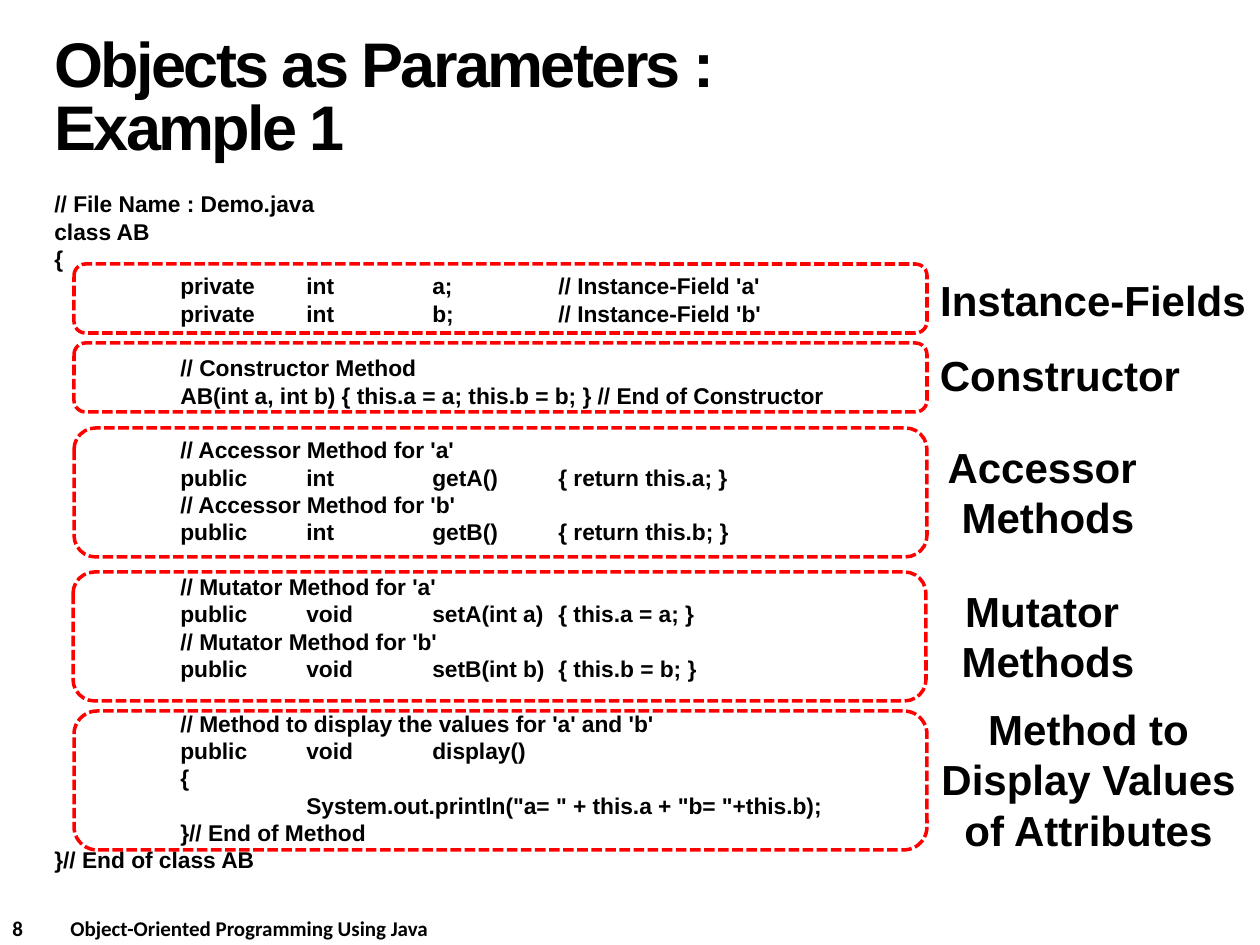
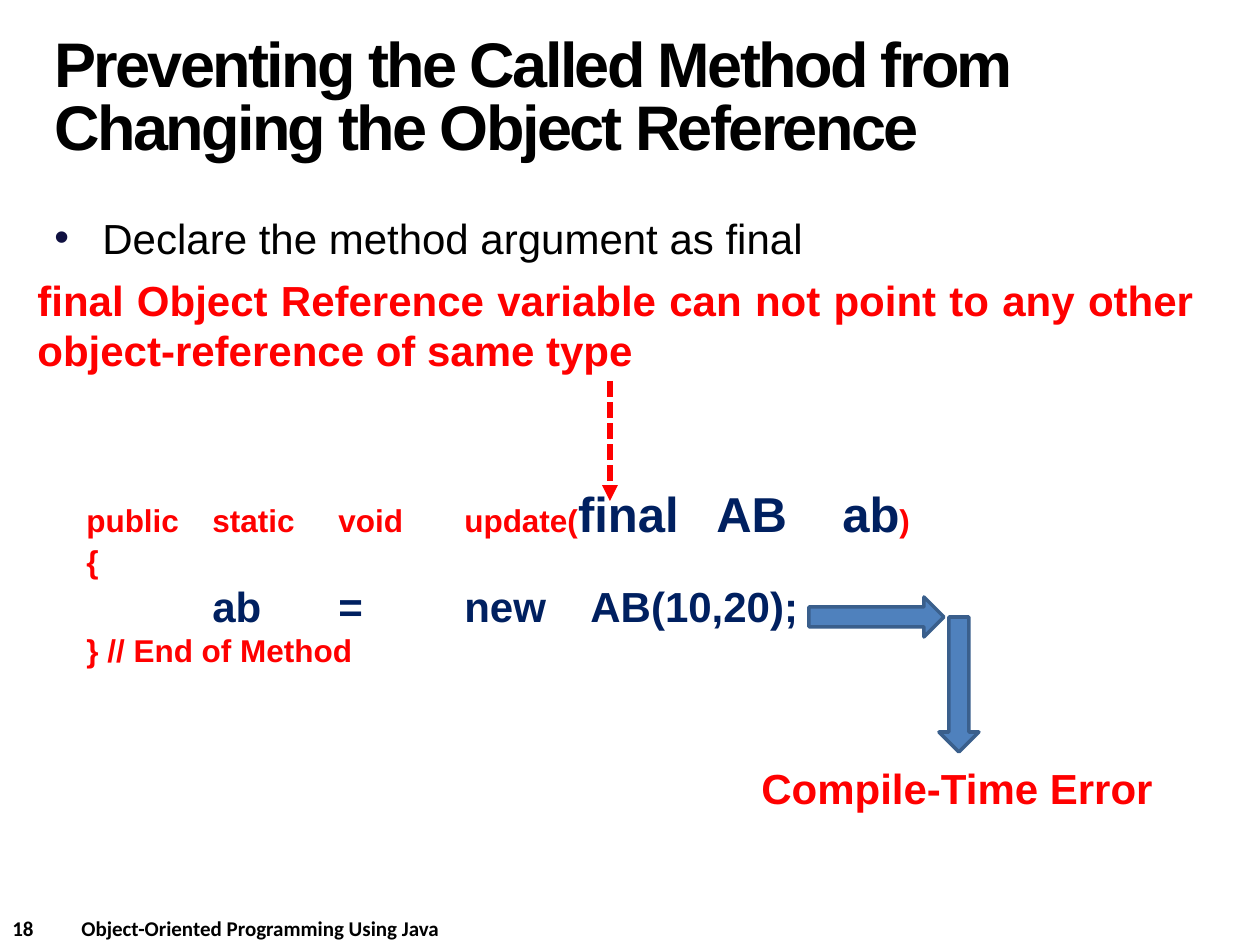
"""Build two lecture slides on passing objects as parameters."""
from dataclasses import dataclass

from lxml import etree
from pptx import Presentation
from pptx import util as u
from pptx.dml.color import RGBColor
from pptx.enum import dml, shapes, text
from pptx.oxml import ns

BLACK, RED, NAVY = "000000", "FF0000", "002060"
BULLET, BLUE, DARK_BLUE = "101141", "4F81BD", "3A5F8C"
PIXELS_PER_INCH = 126
LEADING = 1.203
TITLE_SIZE, CODE_SIZE, BODY_SIZE = 36, 13, 24
CODE_TABS = tuple(PIXELS_PER_INCH * stop for stop in range(1, 7))


@dataclass(frozen=True)
class Area:
    """A rectangle in pixels."""
    left: int
    top: int
    width: int
    height: int


@dataclass(frozen=True)
class Span:
    """A stretch of text in one style."""
    content: str
    size: float = BODY_SIZE
    colour: str = BLACK
    bold: bool = True
    font: str = "Arial"
    tracking: int = 0


@dataclass(frozen=True)
class Para:
    """A paragraph of spans with its spacing."""
    spans: tuple[Span, ...]
    align: text.PP_ALIGN = text.PP_ALIGN.LEFT
    before: float = 0
    tabs: tuple[int, ...] = ()
    bullet_indent: int = 0


@dataclass(frozen=True)
class Section:
    """A framed part of the class listing and its label."""
    frame: Area
    label: Area
    lines: tuple[str, ...]


def emu(pixels: int) -> int:
    """Turn pixels into EMU."""
    return round(pixels * u.Inches(1) / PIXELS_PER_INCH)


def rgb(colour: str) -> RGBColor:
    """Turn a hex string into a colour."""
    return RGBColor.from_string(colour)


def place(area: Area) -> tuple[int, ...]:
    """Give an area as EMU lengths."""
    return tuple(emu(side) for side in (area.left, area.top, area.width, area.height))


def child(parent, tag: str, **attributes: str):
    """Append a DrawingML element."""
    return etree.SubElement(parent, ns.qn(tag), attributes)


def add_text(page, area: Area, paras: list[Para], wrap: bool = True,
             anchor: text.MSO_ANCHOR = text.MSO_ANCHOR.TOP) -> None:
    """Draw a text box."""
    frame = page.shapes.add_textbox(*place(area)).text_frame
    frame.word_wrap = wrap
    frame.vertical_anchor = anchor
    for index, para in enumerate(paras):
        line = frame.add_paragraph() if index else frame.paragraphs[0]
        line.alignment = para.align
        tallest = max(span.size for span in para.spans)
        line.line_spacing = u.Pt(tallest if tallest == TITLE_SIZE else tallest * LEADING)
        line.space_before = u.Pt(para.before)
        properties = line._p.get_or_add_pPr()
        if para.bullet_indent:
            indent = emu(para.bullet_indent)
            properties.set("marL", str(indent))
            properties.set("indent", str(-indent))
            child(child(properties, "a:buClr"), "a:srgbClr", val=BULLET)
            child(properties, "a:buFont", typeface="Arial")
            child(properties, "a:buChar", char="•")
        if para.tabs:
            stops = child(properties, "a:tabLst")
            for stop in para.tabs:
                child(stops, "a:tab", pos=str(emu(stop)), algn="l")
        for span in para.spans:
            run = line.add_run()
            run.text = span.content
            run.font.name = span.font
            run.font.size = u.Pt(span.size)
            run.font.bold = span.bold
            run.font.color.rgb = rgb(span.colour)
            if span.tracking:
                run._r.get_or_add_rPr().set("spc", str(span.tracking))


def add_frame(page, area: Area) -> None:
    """Draw a dashed rounded frame."""
    box = page.shapes.add_shape(shapes.MSO_SHAPE.ROUNDED_RECTANGLE, *place(area))
    box.shadow.inherit = False
    box.fill.background()
    box.line.color.rgb = rgb(RED)
    box.line.width = u.Pt(2)
    box.line.dash_style = dml.MSO_LINE.SQUARE_DOT


def add_block_arrow(page, kind: shapes.MSO_SHAPE, area: Area) -> None:
    """Draw a filled block arrow."""
    arrow = page.shapes.add_shape(kind, *place(area))
    arrow.shadow.inherit = False
    arrow.fill.solid()
    arrow.fill.fore_color.rgb = rgb(BLUE)
    arrow.line.color.rgb = rgb(DARK_BLUE)
    arrow.line.width = u.Pt(2)


def add_dashed_arrow(page, column: int, top: int, bottom: int) -> None:
    """Draw a dashed arrow pointing down."""
    arrow = page.shapes.add_connector(
        shapes.MSO_CONNECTOR.STRAIGHT, emu(column), emu(top), emu(column), emu(bottom))
    arrow.line.color.rgb = rgb(RED)
    arrow.line.width = u.Pt(3)
    arrow.line.dash_style = dml.MSO_LINE.SQUARE_DOT
    child(arrow.line._get_or_add_ln(), "a:tailEnd", type="triangle")
    child(arrow._element.spPr, "a:effectLst")


def add_page(deck, number: int, title: str, title_width: int, footer_tab: int):
    """Add a blank page with its title and footer."""
    page = deck.slides.add_slide(deck.slide_layouts[6])
    footer = Span(f"{number}\tObject-Oriented Programming Using Java", 12, font="Calibri")
    add_text(page, Area(0, 909, 630, 38), [Para((footer,), tabs=(footer_tab,))])
    add_text(page, Area(42, 21, title_width, 158),
             [Para((Span(title, TITLE_SIZE, tracking=-150),))],
             anchor=text.MSO_ANCHOR.MIDDLE)
    return page


SECTIONS = (
    Section(Area(74, 264, 853, 69), Area(926, 268, 334, 63), ("Instance-Fields",)),
    Section(Area(74, 343, 853, 69), Area(926, 343, 268, 63), ("Constructor",)),
    Section(Area(74, 428, 853, 129), Area(934, 435, 228, 115), ("Accessor ", "Methods")),
    Section(Area(73, 572, 853, 129), Area(948, 579, 200, 115), ("Mutator ", "Methods")),
    Section(Area(74, 711, 853, 139), Area(927, 697, 323, 165),
            ("Method to", "Display Values", "of Attributes")),
)

CODE_BLOCKS = (
    ("// File Name : Demo.java",
     "class AB",
     "{",
     "\tprivate\tint\ta;\t// Instance-Field 'a'",
     "\tprivate\tint\tb;\t// Instance-Field 'b'"),
    ("\t// Constructor Method",
     "\tAB(int a, int b) { this.a = a; this.b = b; } // End of Constructor"),
    ("\t// Accessor Method for 'a'",
     "\tpublic\tint\tgetA()\t{ return this.a; }",
     "\t// Accessor Method for 'b'",
     "\tpublic\tint\tgetB()\t{ return this.b; }"),
    ("\t// Mutator Method for 'a'",
     "\tpublic\tvoid\tsetA(int a)\t{ this.a = a; }",
     "\t// Mutator Method for 'b'",
     "\tpublic\tvoid\tsetB(int b)\t{ this.b = b; }"),
    ("\t// Method to display the values for 'a' and 'b'",
     "\tpublic\tvoid\tdisplay()",
     "\t{",
     "\t\tSystem.out.println(\"a= \" + this.a + \"b= \"+this.b);",
     "\t}// End of Method",
     "}// End of class AB"),
)


def build_example(deck) -> None:
    """Build the annotated class listing."""
    page = add_page(deck, 8, "Objects as Parameters : Example 1", 872, 58)
    listing = [
        Para((Span(line, CODE_SIZE),), tabs=CODE_TABS,
             before=CODE_SIZE * LEADING if block and not row else 0)
        for block, lines in enumerate(CODE_BLOCKS)
        for row, line in enumerate(lines)
    ]
    add_text(page, Area(42, 184, 856, 702), listing)
    for section in SECTIONS:
        add_frame(page, section.frame)
        label = [Para((Span(line),), text.PP_ALIGN.CENTER) for line in section.lines]
        add_text(page, section.label, label, wrap=False)


def build_final_argument(deck) -> None:
    """Build the page on final arguments."""
    page = add_page(
        deck, 18, "Preventing the Called Method from Changing the Object Reference", 1134, 69)
    advice = Span("Declare the method argument as final", bold=False)
    add_text(page, Area(42, 206, 1134, 98), [Para((advice,), bullet_indent=48)])
    method_lines = (
        (Span("public\tstatic\tvoid\tupdate(", 18, RED),
         Span("final\tAB \tab", 28, NAVY),
         Span(")", 18, RED)),
        (Span("{", 18, RED),),
        (Span("\tab\t= \tnew\tAB(10,20);", colour=NAVY),),
        (Span("} // End of Method", 18, RED),),
    )
    add_text(page, Area(74, 477, 1071, 199),
             [Para(spans, tabs=CODE_TABS) for spans in method_lines])
    add_block_arrow(page, shapes.MSO_SHAPE.RIGHT_ARROW, Area(809, 597, 135, 40))
    add_block_arrow(page, shapes.MSO_SHAPE.DOWN_ARROW, Area(939, 617, 40, 135))
    add_text(page, Area(749, 756, 421, 63),
             [Para((Span("Compile-Time Error", colour=RED),))], wrap=False)
    add_dashed_arrow(page, 610, 381, 501)
    rule = Span("final Object Reference variable can not point to any other "
                "object-reference of same type", colour=RED)
    add_text(page, Area(25, 268, 1181, 115), [Para((rule,), text.PP_ALIGN.JUSTIFY)])


def main() -> None:
    """Build and save the deck."""
    deck = Presentation()
    deck.slide_width, deck.slide_height = emu(1260), emu(945)
    build_example(deck)
    build_final_argument(deck)
    deck.save("out.pptx")


main()
